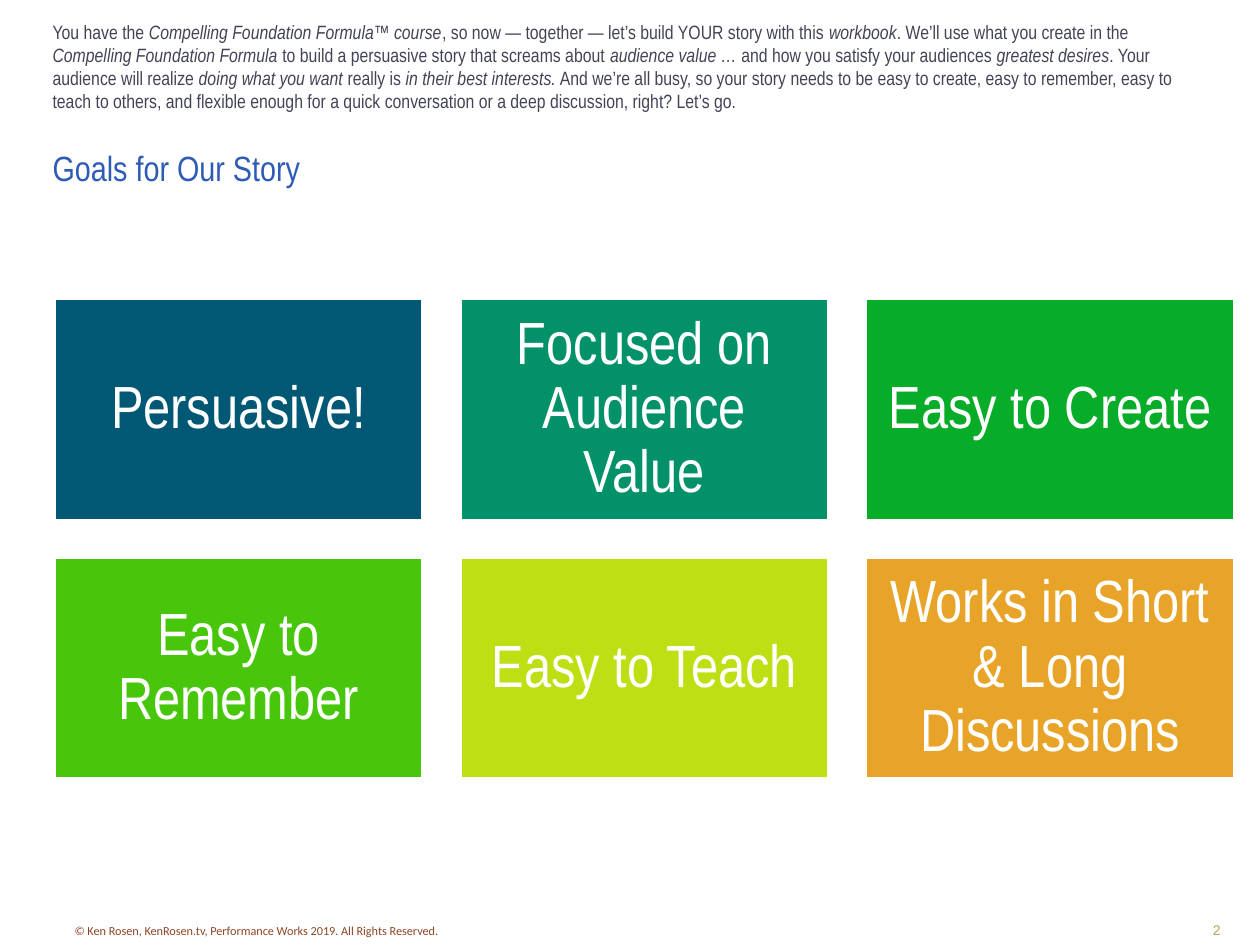
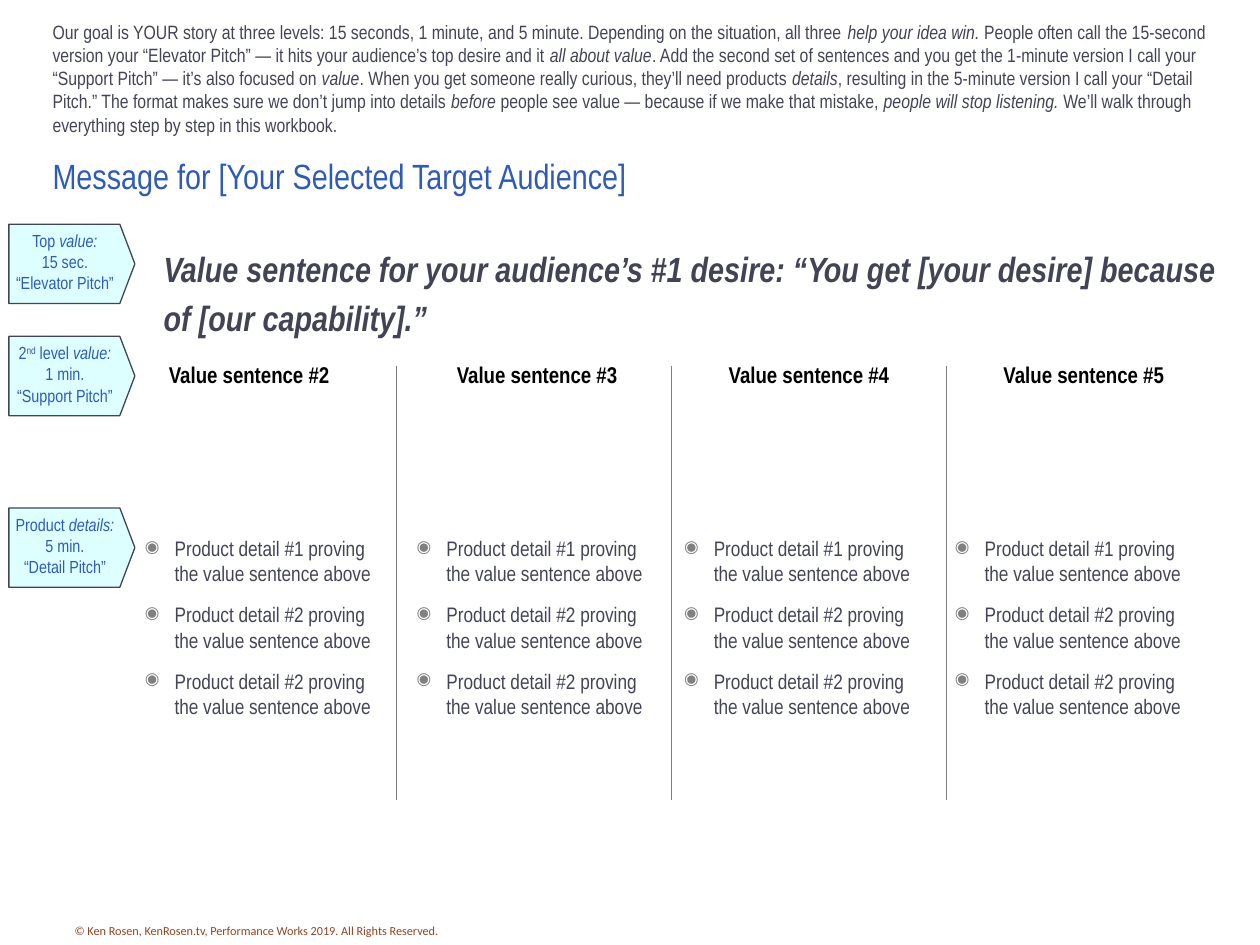
"""Build two workbook slides: the story goals and the audience message."""
from lxml.etree import SubElement
from pptx import Presentation
from pptx.dml.color import RGBColor
from pptx.enum.shapes import MSO_CONNECTOR, MSO_SHAPE
from pptx.enum.text import MSO_ANCHOR, PP_ALIGN
from pptx.oxml.ns import qn
from pptx.util import Cm, Pt

WHITE = RGBColor(0xFF, 0xFF, 0xFF)
BLACK = RGBColor(0x00, 0x00, 0x00)
SLATE = RGBColor(0x42, 0x44, 0x56)
BLUE = RGBColor(0x2E, 0x5B, 0xB6)
RUST = RGBColor(0x8E, 0x45, 0x24)
GOLD = RGBColor(0xBC, 0xA3, 0x4F)
GREY = RGBColor(0x80, 0x80, 0x80)
ICE = RGBColor(0xDD, 0xFF, 0xFF)
NARROW = "Arial Narrow"

# Marks in the content: *italic* and ^superscript^.
COPYRIGHT = "© Ken Rosen, KenRosen.tv, Performance Works 2019. All Rights Reserved."
GOALS_TITLE = "Goals for Our Story"
GOALS_INTRO = (
    "You have the *Compelling Foundation Formula™ course*, so now — together — let’s build YOUR "
    "story with this *workbook*. We’ll use what you create in the *Compelling Foundation Formula "
    "*to build a persuasive story that screams about *audience value … *and how you satisfy your "
    "audiences *greatest desires*. Your audience will realize *doing what you want* really is "
    "*in their best interests.* And we’re all busy, so your story needs to be easy to create, "
    "easy to remember, easy to teach to others, and flexible enough for a quick conversation or "
    "a deep discussion, right? Let’s go."
)
GOALS = [
    ("Persuasive!", RGBColor(0x00, 0x58, 0x74)),
    ("Focused on Audience Value", RGBColor(0x03, 0x91, 0x69)),
    ("Easy to Create", RGBColor(0x07, 0xAC, 0x28)),
    ("Easy to Remember", RGBColor(0x47, 0xC6, 0x0C)),
    ("Easy to Teach", RGBColor(0xBD, 0xDF, 0x13)),
    ("Works in Short & Long Discussions", RGBColor(0xE8, 0xA4, 0x29)),
]
MESSAGE_TITLE = "Message for [Your Selected Target Audience]"
MESSAGE_INTRO = (
    "Our goal is YOUR story at three levels: 15 seconds, 1 minute, and 5 minute. Depending on "
    "the situation, all three *help your idea win. *People often call the 15-second version your "
    "“Elevator Pitch” — it hits your audience’s top desire and it *all about value*. Add the "
    "second set of sentences and you get the 1-minute version I call your “Support Pitch” — it’s "
    "also focused on *value*. When you get someone really curious, they’ll need products "
    "*details*, resulting in the 5-minute version I call your “Detail Pitch.” The format makes "
    "sure we don’t jump into details *before* people see value — because if we make that mistake, "
    "*people will stop listening. *We’ll walk through everything step by step in this workbook."
)
TOP_VALUE = (
    "*Value sentence for your audience’s #1 desire: “You get [your desire] because of "
    "[our capability].”*"
)
LEVELS = [
    (4.52, ["Top *value:*", "15 sec.", "“Elevator Pitch”"]),
    (6.78, ["2^nd^ level *value:*", "1 min.", "“Support Pitch”"]),
    (10.24, ["Product *details:*", "5 min.", "“Detail Pitch”"]),
]
VALUES = [
    ("Value sentence #2", 2.06, 5.92, 2.67),
    ("Value sentence #3", 8.03, 5.59, 8.15),
    ("Value sentence #4", 13.56, 5.49, 13.54),
    ("Value sentence #5", 19.1, 5.49, 19.0),
]
DETAILS = [f"Product detail #{number} proving the value sentence above" for number in (1, 2, 2)]


def write(shape, lines, size, color, font=NARROW, align=PP_ALIGN.LEFT, bold=False,
          anchor=MSO_ANCHOR.TOP, insets=(0.25, 0.13, 0.25, 0.13), wrap=True):
    """Fill a shape with marked-up lines, one paragraph each."""
    frame = shape.text_frame
    frame.word_wrap = wrap
    frame.vertical_anchor = anchor
    (frame.margin_left, frame.margin_top,
     frame.margin_right, frame.margin_bottom) = map(Cm, insets)
    for index, line in enumerate(lines):
        paragraph = frame.add_paragraph() if index else frame.paragraphs[0]
        paragraph.alignment = align
        for part, phrase in enumerate(line.split("*")):
            for piece, words in enumerate(phrase.split("^")):
                if not words:
                    continue
                run = paragraph.add_run()
                run.text = words
                run.font.name, run.font.size = font, Pt(size)
                run.font.color.rgb = color
                run.font.bold, run.font.italic = bold, part % 2 == 1
                if piece % 2:
                    run.font._element.set("baseline", "30000")
    return frame.paragraphs


def add_text(slide, box, lines, size, color, **style):
    """Add a text box at a (left, top, width, height) in centimetres."""
    return write(slide.shapes.add_textbox(*map(Cm, box)), lines, size, color, **style)


def add_block(slide, kind, box, fill, line, weight):
    """Add a filled, outlined shape without a shadow."""
    block = slide.shapes.add_shape(kind, *map(Cm, box))
    block.shadow.inherit = False
    block.fill.solid()
    block.fill.fore_color.rgb = fill
    block.line.color.rgb = line
    block.line.width = Pt(weight)
    return block


def add_divider(slide, left, top, bottom):
    """Add a thin vertical line."""
    divider = slide.shapes.add_connector(
        MSO_CONNECTOR.STRAIGHT, Cm(left), Cm(top), Cm(left), Cm(bottom))
    divider.line.color.rgb = GREY
    divider.line.width = Pt(0.5)
    SubElement(divider._element.spPr, qn("a:effectLst"))


def add_bullet(paragraph):
    """Give a paragraph a grey fisheye bullet with a hanging indent."""
    properties = paragraph._p.get_or_add_pPr()
    properties.set("marL", str(Cm(0.6)))
    properties.set("indent", str(-Cm(0.6)))
    color = SubElement(properties, qn("a:buClr"))
    SubElement(color, qn("a:srgbClr"), val=str(GREY))
    SubElement(properties, qn("a:buSzPct"), val="80000")
    SubElement(properties, qn("a:buChar"), char="◉")


def add_page(deck, title, title_top, intro, intro_height):
    """Add a slide with the shared footer, title and introduction."""
    slide = deck.slides.add_slide(deck.slide_layouts[6])
    add_text(slide, (1.12, 18.49, 8.1, 0.56), [COPYRIGHT], 7, RUST, font="Calibri",
             align=PP_ALIGN.CENTER, wrap=False)
    add_text(slide, (0.81, title_top, 23.77, 1.85), [title], 20, BLUE, anchor=MSO_ANCHOR.MIDDLE)
    add_text(slide, (0.81, 0.28, 23.77, intro_height), [intro], 11, SLATE)
    return slide


def add_goals(deck):
    """Build the grid of story goals."""
    slide = add_page(deck, GOALS_TITLE, 2.46, GOALS_INTRO, 1.7)
    add_text(slide, (19.58, 18.06, 5.28, 0.99), ["2"], 8, GOLD, font="Arial",
             align=PP_ALIGN.RIGHT, anchor=MSO_ANCHOR.BOTTOM)
    width, height, gap = 7.44, 4.47, 0.74
    for index, (goal, color) in enumerate(GOALS):
        row, column = divmod(index, 3)
        box = (1.09 + column * (width + gap), 6.02 + row * (height + gap), width, height)
        tile = add_block(slide, MSO_SHAPE.RECTANGLE, box, color, WHITE, 2)
        paragraphs = write(tile, [goal], 34, WHITE, align=PP_ALIGN.CENTER,
                           anchor=MSO_ANCHOR.MIDDLE, insets=(0.36,) * 4)
        paragraphs[0].line_spacing = 0.9


def add_message(deck):
    """Build the three-level message with its value columns."""
    slide = add_page(deck, MESSAGE_TITLE, 2.62, MESSAGE_INTRO, 2.29)
    top_value = add_text(slide, (3.05, 4.7, 21.87, 2.16), [TOP_VALUE], 20, SLATE, bold=True)
    top_value[0].line_spacing = Pt(28.4)
    for column in range(len(VALUES) - 1):
        add_divider(slide, 8 + column * 5.54, 7.37, 16.13)
    for heading, heading_left, heading_width, details_left in VALUES:
        add_text(slide, (heading_left, 7.14, heading_width, 0.79), [heading], 13, BLACK,
                 align=PP_ALIGN.CENTER, bold=True)
        details = add_text(slide, (details_left, 10.67, 5.28, 5.51), DETAILS, 12, SLATE)
        for index, detail in enumerate(details):
            if index:
                detail.space_before = Pt(9)
            add_bullet(detail)
    for top, lines in LEVELS:
        level = add_block(slide, MSO_SHAPE.PENTAGON, (0.18, top, 2.54, 1.6), ICE, SLATE, 0.75)
        level.adjustments[0] = 0.19
        write(level, lines, 10, BLUE, align=PP_ALIGN.CENTER, anchor=MSO_ANCHOR.MIDDLE,
              insets=(0, 0, 0.13, 0.08))


def main():
    """Create and save the deck."""
    deck = Presentation()
    deck.slide_width, deck.slide_height = Cm(25.4), Cm(19.05)
    add_goals(deck)
    add_message(deck)
    deck.save("out.pptx")


if __name__ == "__main__":
    main()
